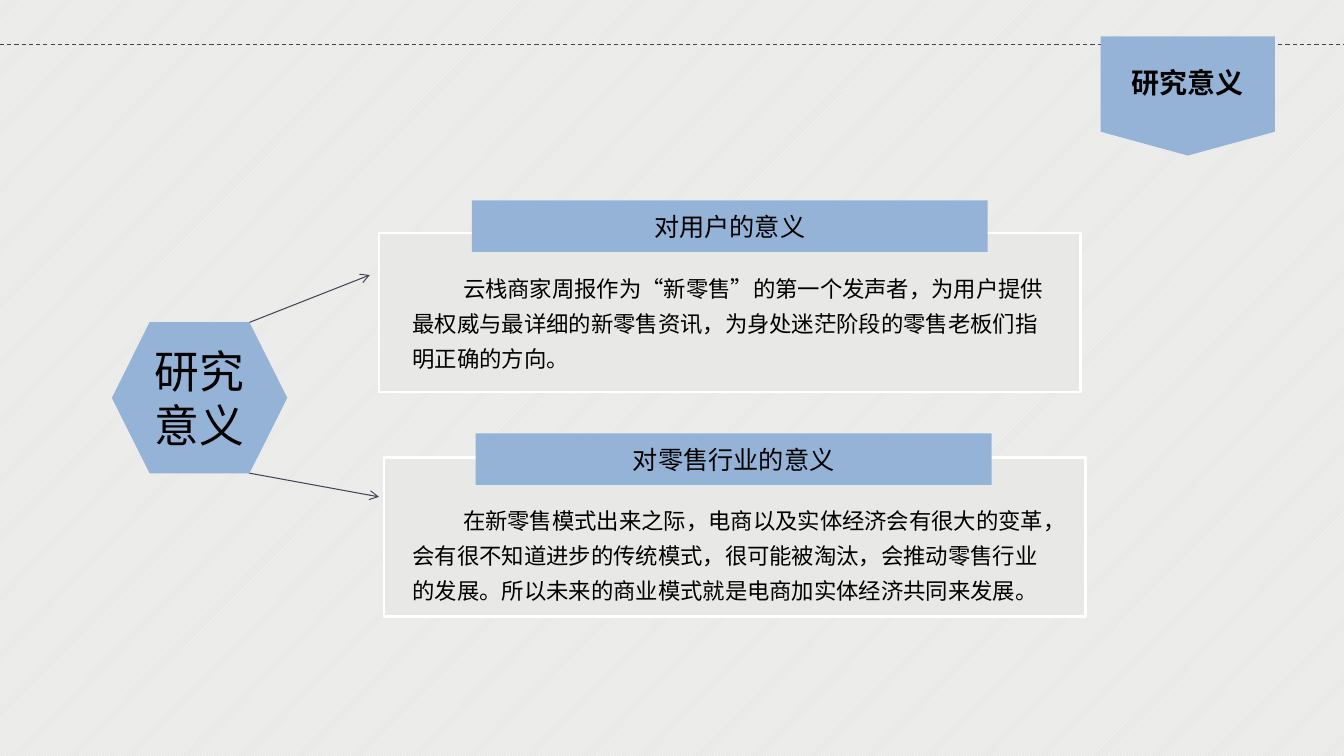
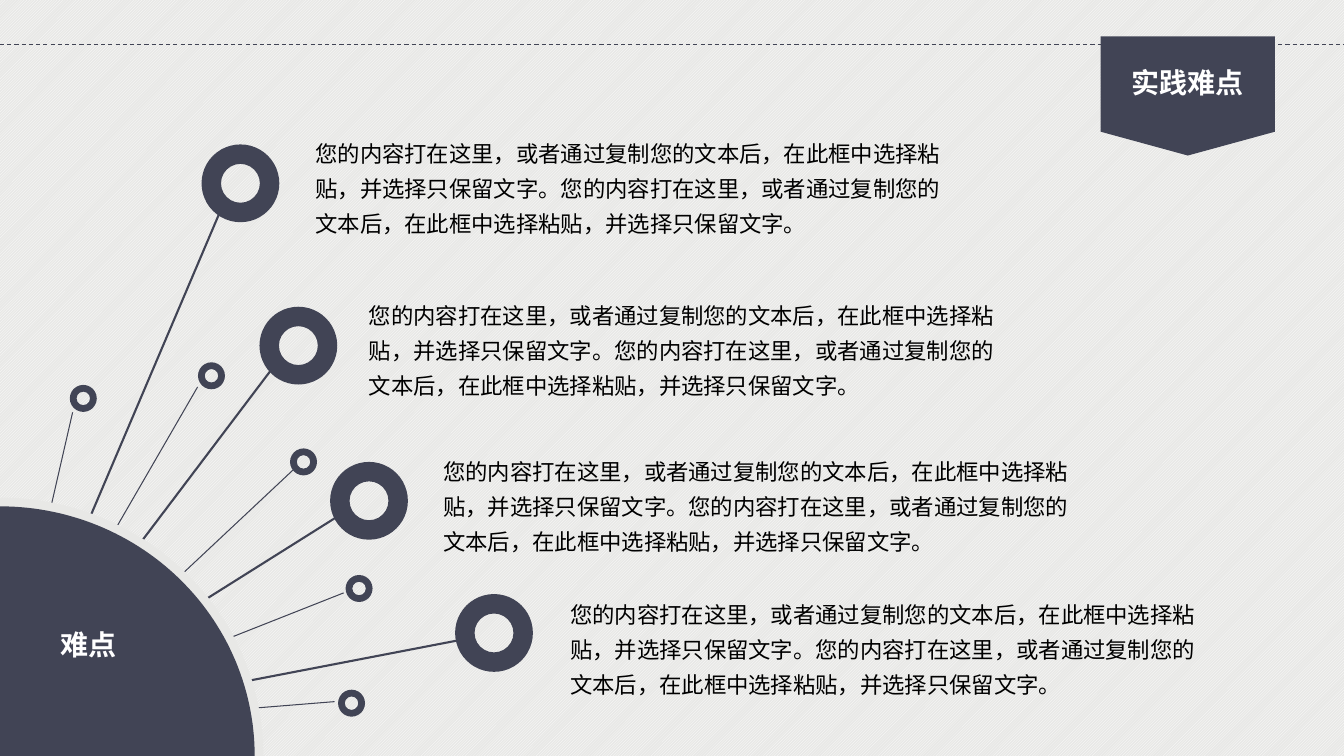
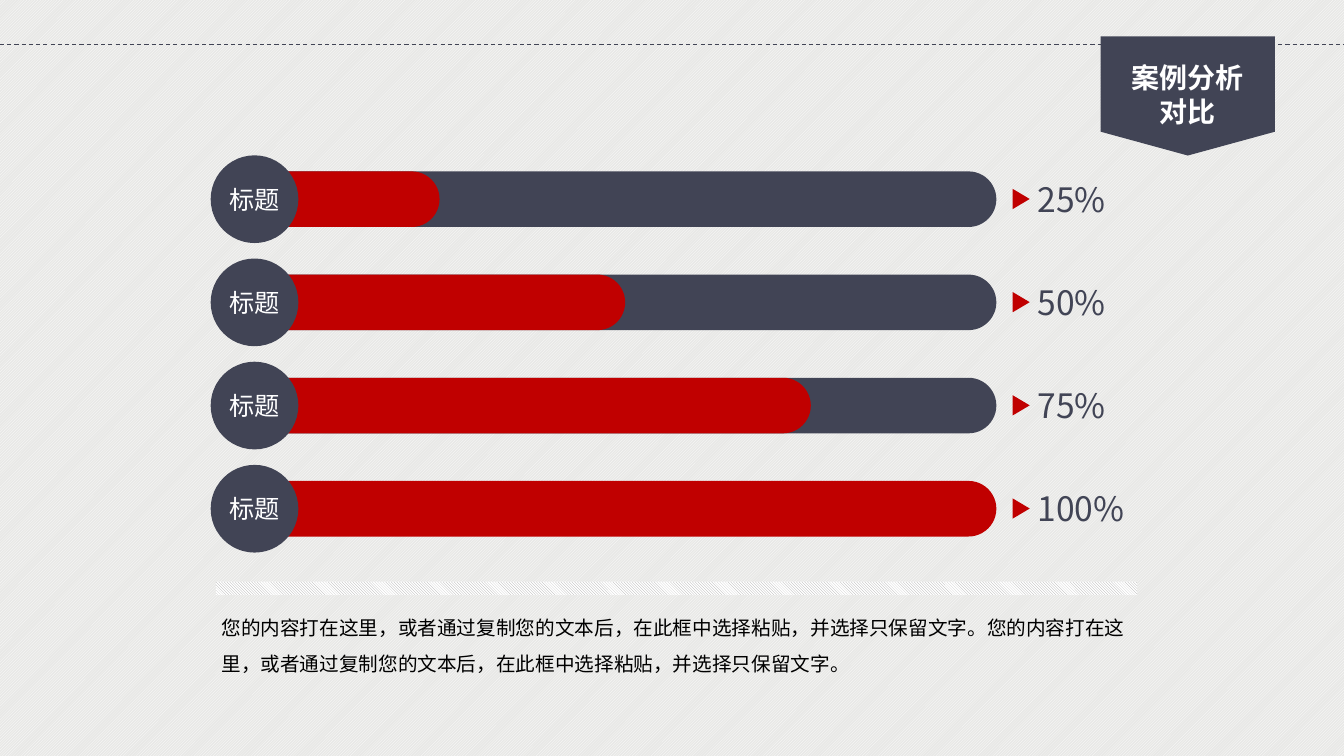
import math
from lxml import etree
from pptx import Presentation, util as u
from pptx.dml.color import RGBColor
from pptx.enum import dml, shapes, text
from pptx.oxml.ns import qn

Cm = u.Cm
FONT = "Noto Sans CJK SC"
HUES = {"dark": "414455", "sky": "95B3D7", "red": "C00000", "pale": "E8E8E6",
        "white": "FFFFFF", "black": "000000", "grey": "A6A6A6"}
KIND = shapes.MSO_SHAPE
MID = text.MSO_ANCHOR.MIDDLE
TOP = text.MSO_ANCHOR.TOP
LEFT, MIDDLE = text.PP_ALIGN.LEFT, text.PP_ALIGN.CENTER
WIDE, HIGH = 33.87, 19.05

# Content: lengths in cm
TITLES = [(["研究意义"], "sky", "black"),
          (["实践难点"], "dark", "white"),
          (["案例分析", "对比"], "dark", "white")]
FILLER = "您的内容打在这里，或者通过复制您的文本后，在此框中选择粘贴，并选择只保留文字。" * 2

# Heading, body, panel corner, heading corner, body top, arrow start and tip
POINTS = [
    ("对用户的意义",
     "云栈商家周报作为“新零售”的第一个发声者，为用户提供最权威与最详细的新零售资讯，"
     "为身处迷茫阶段的零售老板们指明正确的方向。",
     (9.55, 5.87), (11.89, 5.05), 6.61, (6.27, 8.13), (9.32, 6.93)),
    ("对零售行业的意义",
     "在新零售模式出来之际，电商以及实体经济会有很大的变革，会有很不知道进步的传统模式，"
     "很可能被淘汰，会推动零售行业的发展。所以未来的商业模式就是电商加实体经济共同来发展。",
     (9.68, 11.53), (11.99, 10.92), 12.45, (6.27, 11.92), (9.55, 12.52)),
]

# Ring centre, ray tip, text corner
LARGE = [((6.06, 4.62), (5.59, 5.23), (7.7, 3.2)),
         ((7.52, 8.71), (6.91, 9.22), (9.05, 7.29)),
         ((9.3, 12.62), (8.53, 13), (10.92, 11.21)),
         ((12.45, 15.95), (11.58, 16.13), (14.12, 14.82))]
# Ring centre, ray tip, height of the ray's foot
SMALL = [((2.1, 10.04), (1.83, 10.39), 18.36),
         ((5.33, 9.47), (4.98, 9.75), 18.36),
         ((7.65, 11.64), (7.42, 11.81), 18.77),
         ((9.05, 14.83), (8.66, 14.94), 18.36),
         ((8.86, 17.72), (8.43, 17.68), 18.36)]
SHARES = [("标题", 25), ("标题", 50), ("标题", 75), ("标题", 100)]


def rgb(hue):
    return RGBColor.from_string(HUES[hue])


def hatch(fill, kind, fore, back):
    fill.patterned()
    fill.pattern = kind
    fill.fore_color.rgb, fill.back_color.rgb = rgb(fore), rgb(back)


def paint(item, hue, edge=None):
    item.shadow.inherit = False
    item.fill.solid()
    item.fill.fore_color.rgb = rgb(hue)
    if edge:
        item.line.color.rgb, item.line.width = rgb(edge), u.Pt(2)
    else:
        item.line.fill.background()
    return item


def write(item, lines, size, hue, bold=False, align=LEFT, anchor=TOP,
          space=None, indent=0, wrap=True):
    frame = item.text_frame
    frame.word_wrap, frame.vertical_anchor = wrap, anchor
    for i, line in enumerate(lines):
        para = frame.add_paragraph() if i else frame.paragraphs[0]
        para.alignment = align
        if space:
            para.line_spacing = space
        if indent:
            para._p.get_or_add_pPr().set("indent", str(Cm(indent)))
        run = para.add_run()
        run.text = line
        run.font.color.rgb = rgb(hue)
        for name, value in {"size": u.Pt(size), "bold": bold, "name": FONT}.items():
            setattr(run.font, name, value)
        etree.SubElement(run._r.get_or_add_rPr(), qn("a:ea")).set("typeface", FONT)
    return item


def shape(slide, kind, box, hue, edge=None):
    return paint(slide.shapes.add_shape(kind, *map(Cm, box)), hue, edge)


def label(slide, box, lines, size, hue, **style):
    return write(slide.shapes.add_textbox(*map(Cm, box)), lines, size, hue, **style)


def line(slide, start, end, width=0.75, dash=False, arrow=False):
    item = slide.shapes.add_connector(shapes.MSO_CONNECTOR.STRAIGHT,
                                      *map(Cm, start + end))
    item.line.color.rgb, item.line.width = rgb("dark"), u.Pt(width)
    if dash:
        item.line.dash_style = dml.MSO_LINE.DASH
    if arrow:
        etree.SubElement(item.line._get_or_add_ln(), qn("a:tailEnd")).set("type", "arrow")
    etree.SubElement(item._element.spPr, qn("a:effectLst"))


def ring(slide, centre, size):
    x, y = centre
    shape(slide, KIND.DONUT, (x - size / 2, y - size / 2, size, size), "dark")


def sector(slide, wide, high, hue):
    """Quarter disc in the lower left corner of the slide."""
    turns = [math.pi / 2 * i / 60 for i in range(61)]
    dots = [(Cm(wide * math.sin(t)), Cm(HIGH - high * math.cos(t))) for t in turns]
    pen = slide.shapes.build_freeform(0, Cm(HIGH))
    pen.add_line_segments(dots, close=True)
    paint(pen.convert_to_shape(), hue)


def start(deck, title, fill, hue):
    """New slide with the dashed rule and the title tag."""
    slide = deck.slides.add_slide(deck.slide_layouts[6])
    line(slide, (0, 1.12), (WIDE, 1.12), dash=True)
    shape(slide, KIND.FLOWCHART_OFFPAGE_CONNECTOR, (27.74, 0.92, 4.39, 3), fill)
    top, high = (1.52, 1.12) if len(title) == 1 else (1.4, 1.96)
    label(slide, (27.74, top, 4.39, high), title, 20, hue, bold=True, align=MIDDLE)
    return slide


def meaning(slide):
    for head, body, panel, bar, top, foot, tip in POINTS:
        shape(slide, KIND.RECTANGLE, panel + (17.68, 4.01), "pale", "white")
        item = shape(slide, KIND.RECTANGLE, bar + (13, 1.3), "sky")
        write(item, [head], 18, "black", align=MIDDLE, anchor=MID)
        label(slide, (10.15, top, 16.79, 2.92), [body], 16, "black",
              space=1.3, indent=1.27)
        line(slide, foot, tip, arrow=True)
    hub = shape(slide, KIND.HEXAGON, (2.82, 8.12, 4.42, 3.81), "sky")
    write(hub, ["研究意义"], 32, "black", align=MIDDLE, anchor=MID)


def trouble(slide):
    # Rays run under the quarter disc
    for _, tip, foot in SMALL:
        line(slide, tip, (0, foot))
    for _, tip, _ in LARGE:
        line(slide, tip, (0, 18.36), 1.5)
    sector(slide, 6.64, 6.51, "pale")
    sector(slide, 6.42, 6.29, "dark")
    label(slide, (0.28, 15.69, 3.89, 1.12), ["难点"], 20, "white",
          bold=True, align=MIDDLE)
    for centre, _, _ in SMALL:
        ring(slide, centre, 0.68)
    for centre, _, corner in LARGE:
        ring(slide, centre, 1.96)
        label(slide, corner + (16.41, 2.84), [FILLER], 16, "black", space=1.3)


def compare(slide):
    left, full, thick, disc = 6.4, 18.71, 1.4, 2.21
    for i, (name, share) in enumerate(SHARES):
        mid = 5.02 + 2.6 * i
        bars = [(share, "red")] if share == 100 else [(100, "dark"), (share, "red")]
        for part, hue in bars:
            bar = shape(slide, KIND.ROUNDED_RECTANGLE,
                        (left, mid - thick / 2, full * part / 100, thick), hue)
            bar.adjustments[0] = 0.5
        mark = shape(slide, KIND.ISOSCELES_TRIANGLE,
                     (25.48, mid - 0.22, 0.51, 0.43), "red")
        mark.rotation = 90
        label(slide, (25.9, mid - 0.64, 2.8, 1.27), [f"{share}%"], 24, "dark",
              anchor=MID, wrap=False)
        dot = shape(slide, KIND.OVAL, (5.31, mid - disc / 2, disc, disc), "dark")
        write(dot, [name], 18, "white", align=MIDDLE, anchor=MID)
        for side in ("left", "right", "top", "bottom"):
            setattr(dot.text_frame, "margin_" + side, Cm(0.13))
    # Note under a hatched strip
    label(slide, (5.33, 15.11, 23.57, 2.06), [FILLER], 14, "black", space=1.5)
    strip = shape(slide, KIND.RECTANGLE, (5.44, 14.66, 23.22, 0.33), "white")
    hatch(strip.fill, dml.MSO_PATTERN.DARK_DOWNWARD_DIAGONAL, "grey", "white")


def main():
    deck = Presentation()
    deck.slide_width, deck.slide_height = Cm(WIDE), Cm(HIGH)
    hatch(deck.slide_master.background.fill,
          dml.MSO_PATTERN.LIGHT_UPWARD_DIAGONAL, "white", "pale")
    for head, draw in zip(TITLES, (meaning, trouble, compare)):
        draw(start(deck, *head))
    deck.save("out.pptx")


if __name__ == "__main__":
    main()
